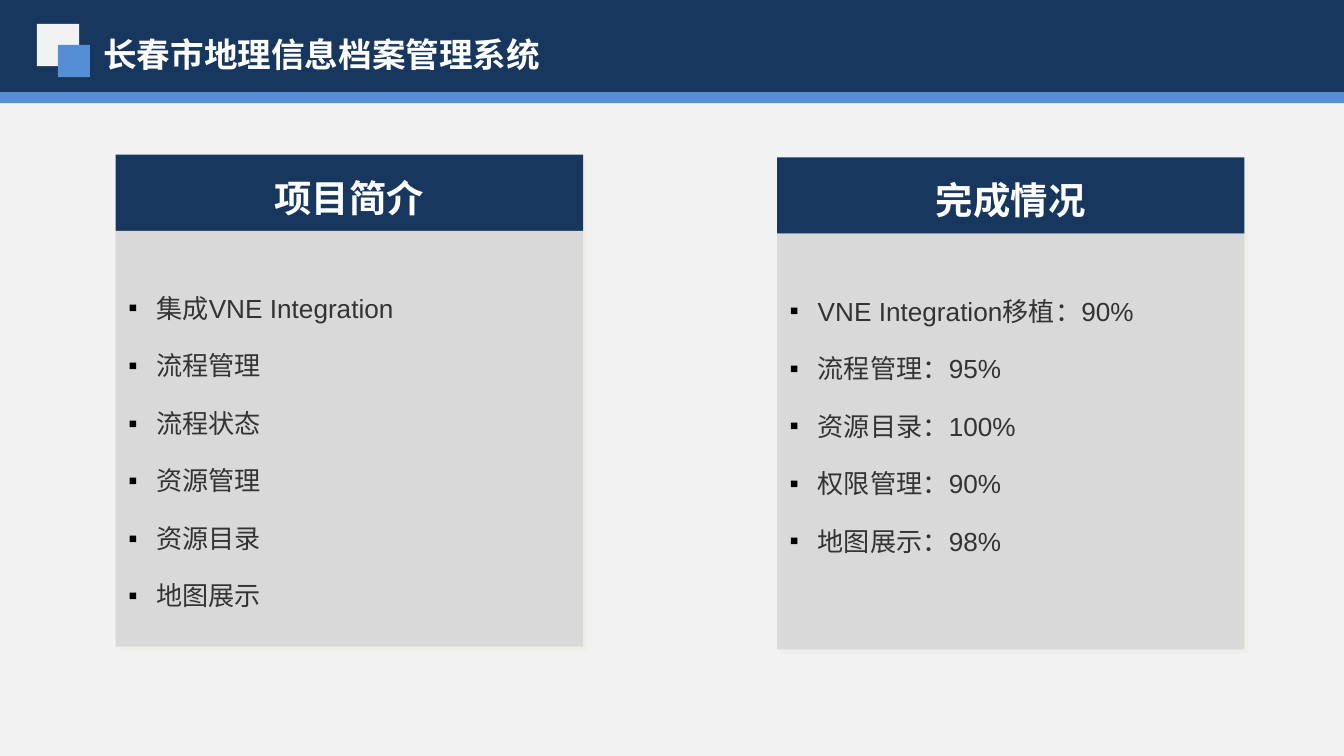
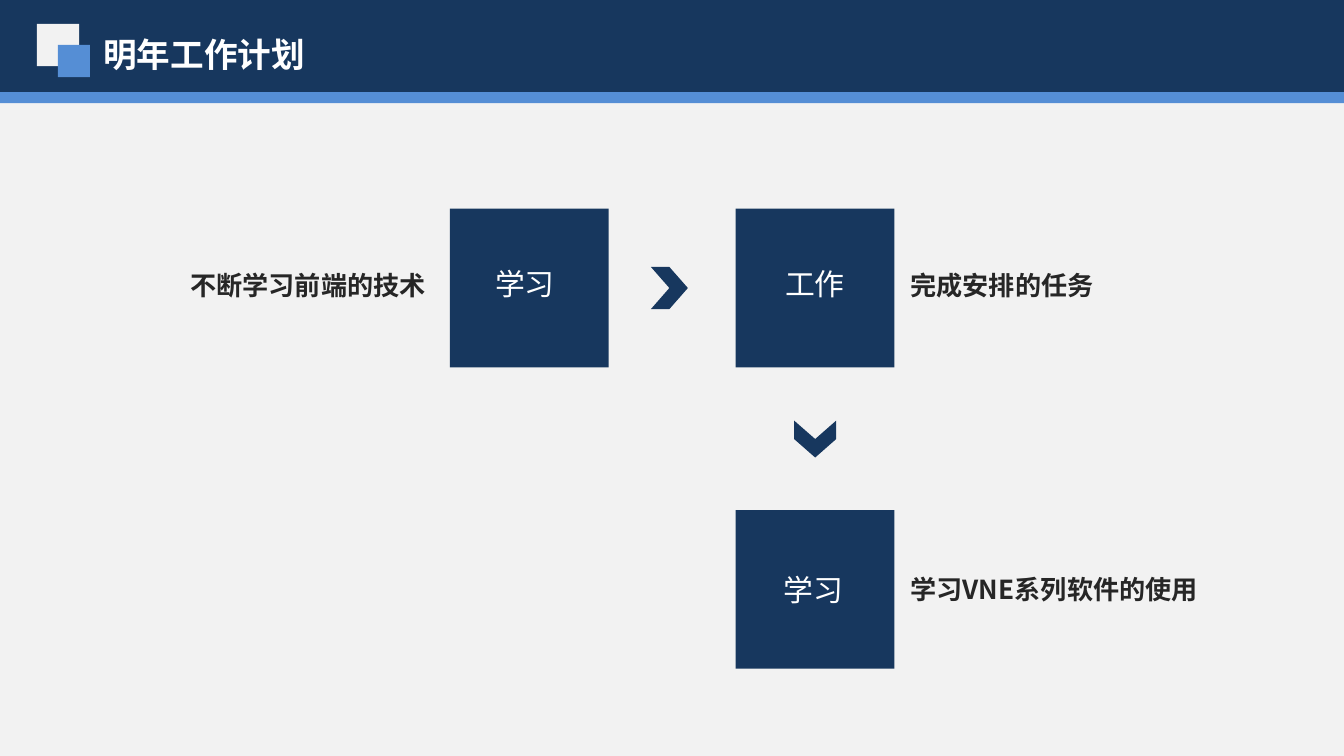
from lxml.etree import SubElement
from pptx import Presentation
from pptx.dml.color import RGBColor
from pptx.enum.shapes import MSO_SHAPE
from pptx.enum.text import MSO_ANCHOR, MSO_AUTO_SIZE, PP_ALIGN
from pptx.oxml.ns import qn
from pptx.util import Pt

NAVY, BLUE, PALE, GREY = "17375E", "558ED5", "F2F2F2", "D9D9D9"
WHITE, BLACK, BODY_TEXT, NOTE_TEXT, SHADOW = "FFFFFF", "000000", "333333", "262626", "EEECE1"
CHINESE_FONT, LATIN_FONT = "Noto Sans CJK SC", "Arial"
SQUARE = 85


def color(value):
    """Turn a hex string into a colour."""
    return RGBColor.from_string(value)


def add_node(parent, tag, **attributes):
    """Append a DrawingML element with the given attributes."""
    return SubElement(parent, qn(tag), {name: str(value) for name, value in attributes.items()})


def add_span(para, text, size, ink, bold=False, font=CHINESE_FONT):
    """Add one formatted run to a paragraph."""
    span = para.add_run()
    span.text = text
    span.font.size = Pt(size)
    span.font.bold = bold
    span.font.name = font
    span.font.color.rgb = color(ink)
    add_node(span.font._element, "a:ea", typeface=CHINESE_FONT)


def add_block(shapes, left, top, width, height, fill, kind=MSO_SHAPE.RECTANGLE):
    """Add a flat filled shape without outline."""
    block = shapes.add_shape(kind, Pt(left), Pt(top), Pt(width), Pt(height))
    block.shadow.inherit = False
    block.fill.solid()
    block.fill.fore_color.rgb = color(fill)
    block.line.fill.background()
    return block


def add_box(shapes, left, top, width, height):
    """Add a wrapping text box and return its text frame."""
    box = shapes.add_textbox(Pt(left), Pt(top), Pt(width), Pt(height))
    box.text_frame.word_wrap = True
    return box.text_frame


def add_shadow(block):
    """Give a block a soft offset shadow."""
    effects = block.element.spPr.find(qn("a:effectLst"))
    shadow = add_node(effects, "a:outerShdw", dist=Pt(2.8), dir=45 * 60000, algn="tl", rotWithShape=0)
    tint = add_node(shadow, "a:srgbClr", val=SHADOW)
    add_node(tint, "a:alpha", val=50000)


def add_bullet(para):
    """Format a paragraph as a square-bulleted item."""
    para.line_spacing = 1.5
    properties = para._p.get_or_add_pPr()
    properties.set("marL", str(Pt(15)))
    properties.set("indent", str(Pt(-15)))
    add_node(add_node(properties, "a:spcAft"), "a:spcPct", val=40000)
    add_node(add_node(properties, "a:buClr"), "a:srgbClr", val=BLACK)
    add_node(properties, "a:buFont", typeface=LATIN_FONT)
    add_node(properties, "a:buChar", char="▪")


def add_page(deck, heading, title_width):
    """Add a page with the header band, its squares and the title."""
    page = deck.slides.add_slide(deck.slide_layouts[5])
    add_block(page.shapes, 0, 0, 720, 55, NAVY)
    add_block(page.shapes, 0, 49.4, 720, 5.8, BLUE)
    title = page.shapes.title
    title.left, title.top, title.width, title.height = Pt(48.2), Pt(14.4), Pt(title_width), Pt(29)
    title.text_frame.word_wrap = True
    title.text_frame.auto_size = MSO_AUTO_SIZE.SHAPE_TO_FIT_TEXT
    title.text_frame.vertical_anchor = MSO_ANCHOR.TOP
    para = title.text_frame.paragraphs[0]
    para.alignment = PP_ALIGN.LEFT
    add_span(para, heading, 18, WHITE, bold=True)
    title.element.getparent().append(title.element)
    add_block(page.shapes, 19.8, 12.8, 22.6, 22.6, PALE)
    add_block(page.shapes, 31, 24.1, 17.2, 17.2, BLUE)
    return page


def add_card(page, left, top, heading, items):
    """Add a headed card with a bulleted list."""
    width, head_height = 250.4, 40.9
    head = add_block(page.shapes, left, top, width, head_height, NAVY)
    body = add_block(page.shapes, left, top + head_height, width, 222.8, GREY)
    add_shadow(head)
    add_shadow(body)
    head.text_frame.word_wrap = False
    head.text_frame.vertical_anchor = MSO_ANCHOR.MIDDLE
    para = head.text_frame.paragraphs[0]
    para.alignment = PP_ALIGN.CENTER
    para.line_spacing = 1.2
    add_span(para, heading, 20, WHITE, bold=True)

    frame = add_box(page.shapes, left + 6.8, top + 56.8, 239.8, 187.2)
    frame.margin_left, frame.margin_top = Pt(0), Pt(8.6)
    frame.margin_right, frame.margin_bottom = Pt(11.5), Pt(5.8)
    for index, item in enumerate(items):
        para = frame.add_paragraph() if index else frame.paragraphs[0]
        add_bullet(para)
        add_span(para, item, 14, BODY_TEXT, font=LATIN_FONT)


def add_step(page, left, top, label, label_left, label_top):
    """Add a grouped square with its label."""
    group = page.shapes.add_group_shape()
    add_block(group.shapes, left, top, SQUARE, SQUARE, NAVY)
    frame = add_box(group.shapes, label_left, label_top, 82, 26.6)
    frame.auto_size = MSO_AUTO_SIZE.SHAPE_TO_FIT_TEXT
    para = frame.paragraphs[0]
    para.alignment = PP_ALIGN.CENTER
    add_span(para, label, 16, WHITE)


def add_note(page, left, top, height, text, align=PP_ALIGN.LEFT):
    """Add the bold remark beside a step."""
    para = add_box(page.shapes, left, top, 215.3, height).paragraphs[0]
    para.alignment = align
    add_span(para, text, 14, NOTE_TEXT, bold=True)


def add_chevron(page, left, top, rotation=0):
    """Add an arrow between two steps."""
    chevron = add_block(page.shapes, left, top, 19.8, 22.6, NAVY, MSO_SHAPE.CHEVRON)
    chevron.rotation = rotation


def build_project_page(deck):
    """Build the page on the archive system project."""
    page = add_page(deck, "长春市地理信息档案管理系统", 255.6)
    add_card(page, 62, 82.8, "项目简介", [
        "集成VNE Integration", "流程管理", "流程状态", "资源管理", "资源目录", "地图展示"])
    add_card(page, 416.3, 84.3, "完成情况", [
        "VNE Integration移植：90%", "流程管理：95%", "资源目录：100%", "权限管理：90%", "地图展示：98%"])


def build_plan_page(deck):
    """Build the page on the plan for next year."""
    page = add_page(deck, "明年工作计划", 181.4)
    add_chevron(page, 426.8, 223.9, rotation=90)
    add_chevron(page, 348.7, 143)
    add_step(page, 241, 111.8, "学习", 240.2, 139)
    add_step(page, 394.1, 111.8, "工作", 395.5, 139)
    add_step(page, 394.1, 273.3, "学习", 394.6, 302.5)
    add_note(page, 480.6, 140.7, 52.6, "完成安排的任务")
    add_note(page, 20, 140.7, 41, "不断学习前端的技术", PP_ALIGN.RIGHT)
    add_note(page, 480.6, 303.6, 45.4, "学习VNE系列软件的使用")


def main():
    """Build and save the deck."""
    deck = Presentation()
    deck.slide_width, deck.slide_height = Pt(720), Pt(405)
    background = deck.slide_master.background.fill
    background.solid()
    background.fore_color.rgb = color(PALE)
    build_project_page(deck)
    build_plan_page(deck)
    deck.save("out.pptx")


if __name__ == "__main__":
    main()
